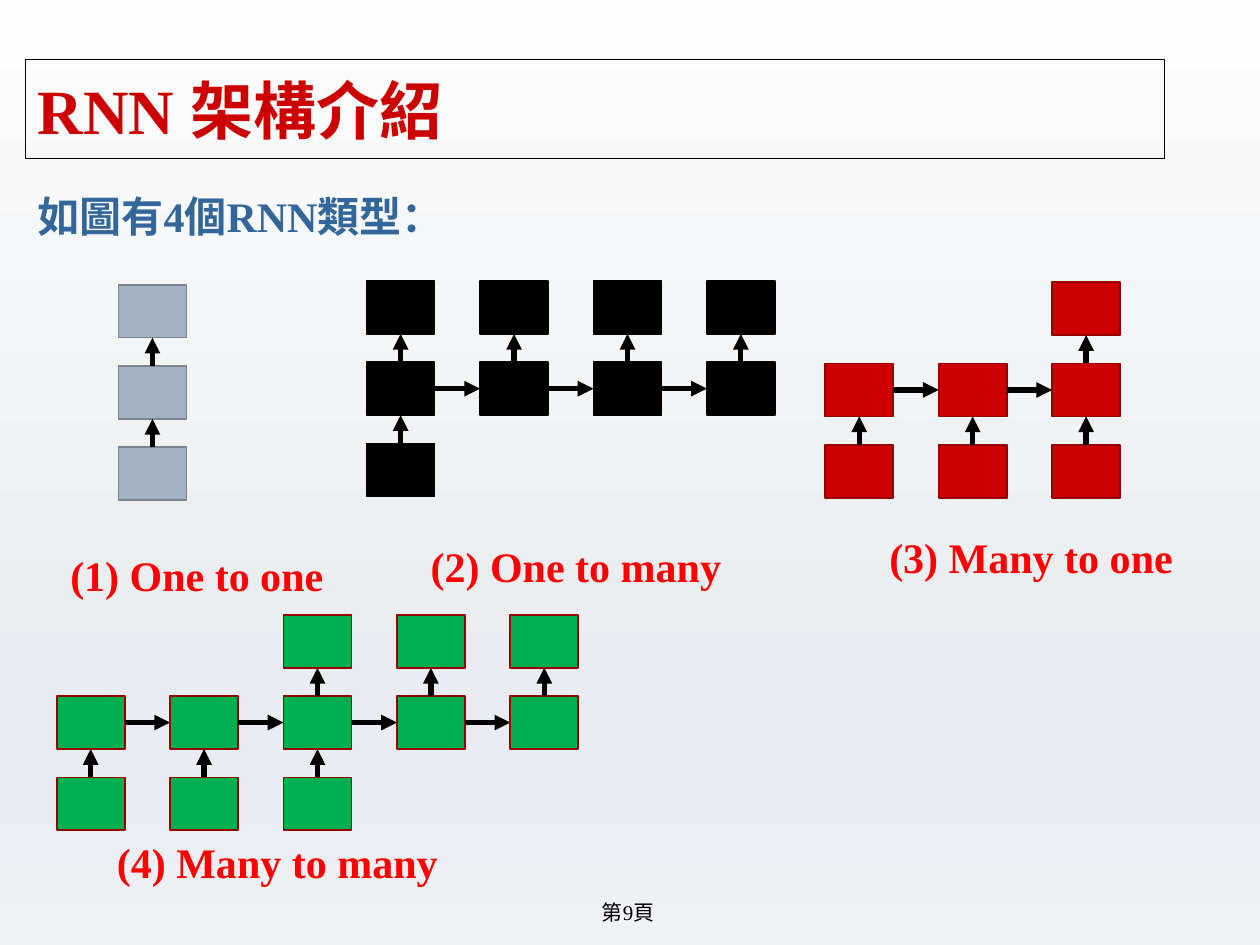
from lxml import etree
from pptx import Presentation
from pptx import util as u
from pptx.dml.color import RGBColor
from pptx.enum import shapes, text
from pptx.oxml.ns import qn

COLORS = {
    "ink": "000000", "title": "CC0000", "lead": "336699", "caption": "FF0000",
    "gray": "A3B2C1", "gray_edge": "79848F", "red": "CC0000",
    "green": "00B050", "dark_red": "970000",
}
BACKGROUND = [(0, "FDFDFD"), (74, "E9ECF0"), (83, "E9ECF0"), (100, "F0F2F5")]
TITLE = "RNN 架構介紹"
LEAD = "如圖有4個RNN類型："
PAGE = "第9頁"
NETWORKS = [
    dict(caption="(1) One to one", caption_at=(0.46, 4.31, 2.23, 0.5), origin=(0.94, 2.26),
         outputs=[0], hidden=[0], inputs=[0], fill="gray", edge="gray_edge"),
    dict(caption="(2) One to many", caption_at=(3.32, 4.24, 2.53, 0.5), origin=(2.91, 2.23),
         outputs=[0, 1, 2, 3], hidden=[0, 1, 2, 3], inputs=[0], fill="ink", edge="ink"),
    dict(caption="(3) Many to one", caption_at=(6.96, 4.17, 2.47, 0.5), origin=(6.55, 2.24),
         outputs=[2], hidden=[0, 1, 2], inputs=[0, 1, 2], fill="red", edge="dark_red"),
    dict(caption="(4) Many to many", caption_at=(0.83, 6.59, 2.77, 0.5), origin=(0.45, 4.88),
         outputs=[2, 3, 4], hidden=[0, 1, 2, 3, 4], inputs=[0, 1, 2], fill="green", edge="dark_red"),
]
CELL_W, CELL_H = 0.54, 0.42
STEP_X, STEP_Y = 0.9, 0.645


def color(name):
    return RGBColor.from_string(COLORS[name])


def inches(values):
    return [u.Inches(v) for v in values]


def write(holder, words, size=24, ink="ink", bold=True, align=None, spacing=None,
          wrap=True, anchor=text.MSO_ANCHOR.TOP):
    frame = holder.text_frame
    frame.word_wrap = wrap
    frame.vertical_anchor = anchor
    frame.auto_size = text.MSO_AUTO_SIZE.NONE
    paragraph = frame.paragraphs[0]
    paragraph.alignment = align
    paragraph.line_spacing = spacing
    run = paragraph.add_run()
    run.text = words
    run.font.name = "Times New Roman"
    run.font.size = u.Pt(size)
    run.font.bold = bold
    run.font.color.rgb = color(ink)


def paint_background(slide):
    fill = slide.background.fill
    fill.gradient()
    fill.gradient_angle = 270
    stops = next(slide.element.iter(qn("a:gsLst")))
    for stop in list(stops):
        stops.remove(stop)
    for percent, shade in BACKGROUND:
        stop = etree.SubElement(stops, qn("a:gs"), pos=str(percent * 1000))
        etree.SubElement(stop, qn("a:srgbClr"), val=shade)


def draw_cell(group, x, y, fill, edge):
    cell = group.shapes.add_shape(shapes.MSO_SHAPE.RECTANGLE, *inches((x, y, CELL_W, CELL_H)))
    cell.shadow.inherit = False
    cell.fill.solid()
    cell.fill.fore_color.rgb = color(fill)
    cell.line.color.rgb = color(edge)
    cell.line.width = u.Pt(1)


def draw_arrow(group, *ends):
    arrow = group.shapes.add_connector(shapes.MSO_CONNECTOR.STRAIGHT, *inches(ends))
    arrow.line.color.rgb = color("ink")
    arrow.line.width = u.Pt(3)
    etree.SubElement(arrow.line._get_or_add_ln(), qn("a:tailEnd"), type="triangle")
    etree.SubElement(arrow.element.spPr, qn("a:effectLst"))


def draw_network(slide, network):
    group = slide.shapes.add_group_shape()
    left, top = network["origin"]
    rows = [network["outputs"], network["hidden"], network["inputs"]]
    for row, columns in enumerate(rows):
        y = top + row * STEP_Y
        for column in columns:
            x = left + column * STEP_X
            draw_cell(group, x, y, network["fill"], network["edge"])
            if row > 0 and column in rows[row - 1]:
                center = x + CELL_W / 2
                draw_arrow(group, center, y, center, y - STEP_Y + CELL_H)
            if row == 1 and column + 1 in columns:
                middle = y + CELL_H / 2
                draw_arrow(group, x + CELL_W, middle, x + STEP_X, middle)
    caption = group.shapes.add_textbox(*inches(network["caption_at"]))
    write(caption, network["caption"], ink="caption", wrap=False)


def main():
    deck = Presentation()
    deck.slide_width, deck.slide_height = inches((10, 7.5))
    slide = deck.slides.add_slide(deck.slide_layouts[5])
    paint_background(slide)

    title = slide.shapes.title
    title.left, title.top, title.width, title.height = inches((0.2, 0.47, 9.04, 0.79))
    title.line.color.rgb = color("ink")
    title.line.width = u.Pt(0.75)
    write(title, TITLE, size=36, ink="title", align=text.PP_ALIGN.JUSTIFY,
          anchor=text.MSO_ANCHOR.MIDDLE)

    lead = slide.shapes.add_textbox(*inches((0.2, 1.26, 9.04, 5.51)))
    write(lead, LEAD, ink="lead", align=text.PP_ALIGN.JUSTIFY, spacing=1.5)

    for network in NETWORKS:
        draw_network(slide, network)

    page = slide.shapes.add_textbox(*inches((4.62, 7.09, 0.73, 0.3)))
    write(page, PAGE, size=12, bold=False, align=text.PP_ALIGN.CENTER, wrap=False)

    deck.save("out.pptx")


if __name__ == "__main__":
    main()
